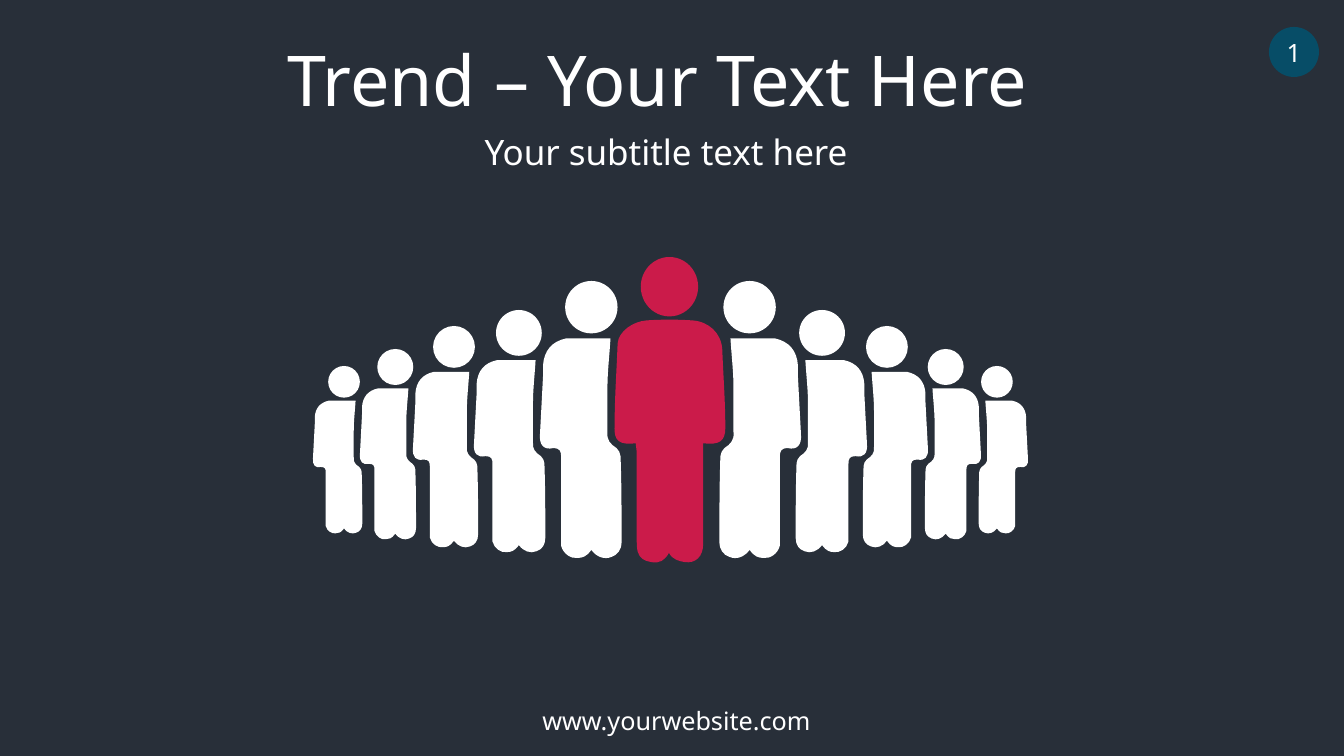
from dataclasses import dataclass
from lxml.etree import SubElement as Sub
from pptx import Presentation
from pptx.dml.color import RGBColor
from pptx.enum.shapes import MSO_SHAPE as Kind
from pptx.enum.text import MSO_ANCHOR as Anchor, MSO_AUTO_SIZE as Fit, PP_ALIGN as Align
from pptx.oxml.ns import qn
from pptx.util import Pt

WIDE, HIGH = 1344, 756
UNIT = 12192000 / WIDE


@dataclass(frozen=True)
class Theme:
    font: str = "Noto Sans"
    back: str = "282F39"
    white: str = "FFFFFF"
    red: str = "CB1B4A"
    blue: str = "074D67"
    title: int = 50
    sub: int = 25
    small: int = 18


@dataclass(frozen=True)
class Form:
    """A person on a grid: head box, then an outline of lines (2 numbers) and curves (6)."""
    width: int
    height: int
    head: tuple
    drop: int
    start: tuple
    line: tuple


THEME = Theme()

LEADER = Form(111, 303, (26, 0, 57, 59), 62, (21, 123), (
    (5, 125, -1, 121, 0, 106), (0, 78, 2, 51, 3, 24), (4, 12, 18, 2, 32, 1),
    (47, 0, 62, 0, 77, 1), (93, 2, 106, 13, 107, 30), (108, 56, 110, 82, 110, 108),
    (110, 121, 104, 125, 88, 123), (88, 223),
    (88, 235, 81, 243, 69, 241), (64, 240, 58, 239, 54, 232),
    (50, 239, 45, 243, 36, 241), (29, 240, 25, 237, 23, 231),
    (22, 227, 22, 223, 22, 220), (22, 132), (22, 129, 21, 126, 21, 123)))

PEER = Form(81, 276, (25, 0, 52, 52), 57, (70, 0), (
    (69, 17, 67, 33, 67, 49), (67, 93), (66, 101, 70, 105, 76, 109),
    (78, 111, 80, 114, 80, 117), (81, 145, 81, 174, 81, 202), (81, 210, 77, 215, 71, 217),
    (64, 220, 56, 217, 51, 210), (46, 217, 42, 218, 37, 218), (31, 219, 23, 214, 21, 206),
    (21, 194), (21, 118), (21, 112, 20, 109, 13, 109),
    (4, 111, -1, 106, 0, 95), (3, 38), (3, 27), (4, 12, 12, 3, 26, 0), (70, 0)))

# left, top and height of each peer within the crowd, from the middle outwards
PEERS = ((227, 24, 278), (161, 53, 243), (100, 69, 222), (47, 92, 191), (0, 109, 168))


def px(*sizes):
    return [round(size * UNIT) for size in sizes]


def paint(shape, color):
    shape.shadow.inherit = False
    shape.fill.solid()
    shape.fill.fore_color.rgb = RGBColor.from_string(color)
    shape.line.fill.background()


def write(shape, text, size, color=THEME.white, wrap=True, anchor=Anchor.TOP, fit=Fit.NONE):
    frame = shape.text_frame
    frame.word_wrap, frame.vertical_anchor, frame.auto_size = wrap, anchor, fit
    para = frame.paragraphs[0]
    para.alignment = Align.CENTER
    run = para.add_run()
    run.text = text
    run.font.name, run.font.size = THEME.font, Pt(size)
    run.font.color.rgb = RGBColor.from_string(color)


def label(slide, box, text, size):
    write(slide.shapes.add_textbox(*px(*box)), text, size, fit=Fit.SHAPE_TO_FIT_TEXT)


def bend(shape, line):
    """Join each three straight steps that stand for a curve into one cubic curve."""
    steps = iter(list(shape.element.iter(qn("a:lnTo"))))
    for part in line:
        first = next(steps)
        if len(part) == 6:
            first.tag = qn("a:cubicBezTo")
            for step in (next(steps), next(steps)):
                first.append(step[0])
                step.getparent().remove(step)


def body(shapes, form, place, color):
    dots = [place(x, y + form.drop) for part in (form.start, *form.line)
            for x, y in zip(part[::2], part[1::2])]
    pen = shapes.build_freeform(*dots[0], scale=1.0)
    pen.add_line_segments(dots[1:], close=True)
    shape = pen.convert_to_shape()
    bend(shape, form.line)
    paint(shape, color)


def person(shapes, box, form, color, flip=False):
    left, top, wide, high = box
    ratio = high / form.height

    def place(x, y):
        across = wide - x * ratio if flip else x * ratio
        return px(left + across, top + y * ratio)

    x, y, w, h = form.head
    spot = place(x + w if flip else x, y)
    paint(shapes.add_shape(Kind.OVAL, *spot, *px(w * ratio, h * ratio)), color)
    body(shapes, form, place, color)


def crowd(slide, box):
    """Place the leader in the middle and mirrored rows of peers on both sides."""
    left, top, wide, high = box
    mid = LEADER.width * high / LEADER.height
    person(slide.shapes, (left + (wide - mid) / 2, top, mid, high), LEADER, THEME.red)
    for flip in (False, True):
        side = slide.shapes.add_group_shape().shapes
        for x, y, tall in PEERS:
            broad = PEER.width * tall / PEER.height
            near = wide - x - broad if flip else x
            person(side, (left + near, top + y, broad, tall), PEER, THEME.white, flip)


def header(slide, box):
    left, top, wide, high = box
    label(slide, (left + 284, top + high - 52, 456, 52), "Your subtitle text here", THEME.sub)
    label(slide, (left, top, wide, 95), "Trend – Your Text Here", THEME.title)


def footer(slide, box):
    label(slide, box, "www.yourwebsite.com", THEME.small)


def badge(slide, box):
    disc = slide.shapes.add_shape(Kind.OVAL, *px(*box))
    paint(disc, THEME.blue)
    write(disc, "1", THEME.small, wrap=False, anchor=Anchor.MIDDLE)


def main():
    deck = Presentation()
    deck.slide_width, deck.slide_height = px(WIDE, HIGH)
    slide = deck.slides.add_slide(deck.slide_layouts[6])
    back = slide.background.fill
    back.solid()
    back.fore_color.rgb = RGBColor.from_string(THEME.back)
    header(slide, (154, 32, 1007, 146))
    crowd(slide, (313, 257, 715, 305))
    footer(slide, (50, 700, 1253, 40))
    badge(slide, (1269, 27, 50, 50))
    deck.save("out.pptx")


if __name__ == "__main__":
    main()
